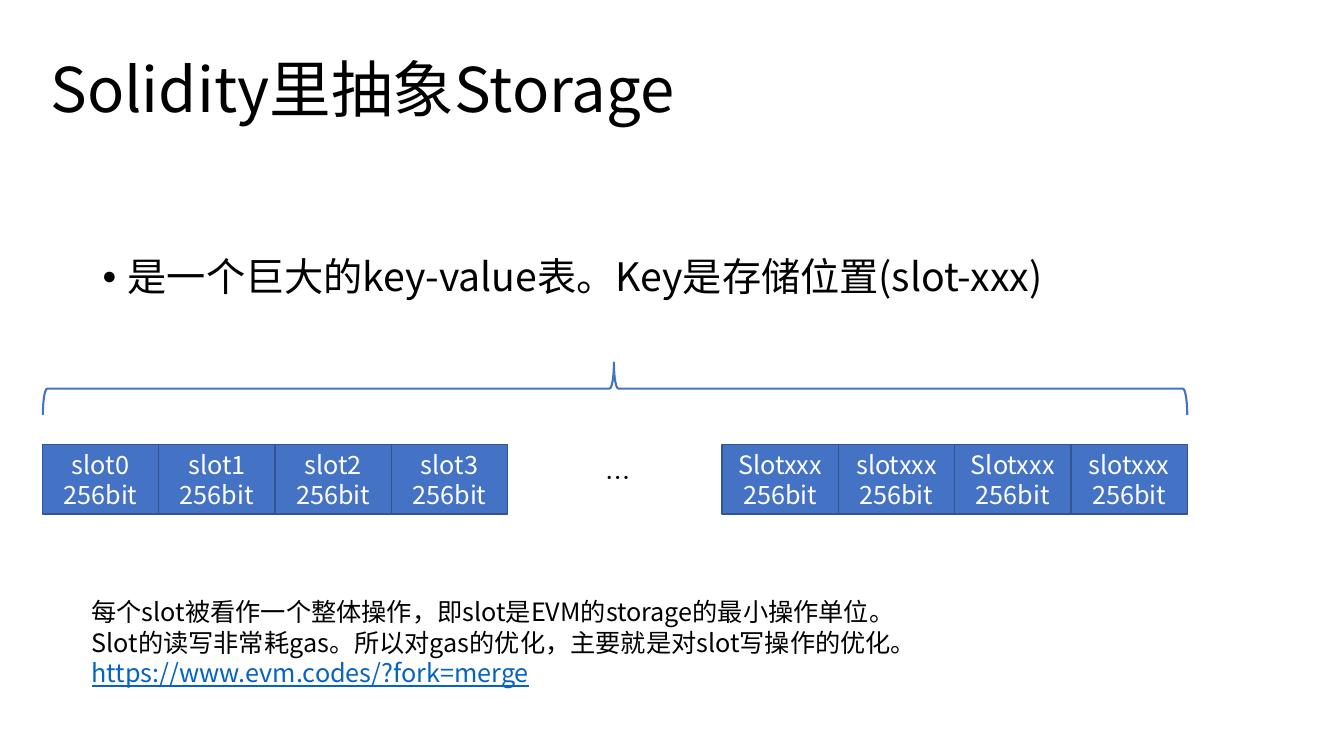
import pptx
import pptx.util
import pptx.dml.color
import pptx.enum.shapes
import pptx.enum.text
import pptx.oxml.ns
from lxml import etree

Inches = pptx.util.Inches
Align = pptx.enum.text.PP_ALIGN
Anchor = pptx.enum.text.MSO_ANCHOR
Shape = pptx.enum.shapes.MSO_SHAPE
qn = pptx.oxml.ns.qn

FONT = "Noto Sans CJK SC"
COLORS = {"text": "000000", "slot": "4472C4", "edge": "325491",
          "white": "FFFFFF", "link": "0563C1"}
SLOT_WIDTH, SLOT_HEIGHT, SLOT_TOP = 1.154, 0.69, 4.41
SLOT_GROUPS = {0.42: ["slot0", "slot1", "slot2", "slot3"],
               7.16: ["Slotxxx", "slotxxx", "Slotxxx", "slotxxx"]}


def rgb(name):
    return pptx.dml.color.RGBColor.from_string(COLORS[name])


def write(shape, *lines, size=18, color="text", align=Align.LEFT,
          anchor=Anchor.TOP, wrap=True, spacing=1.0, link_line=None):
    """Fill a shape with one paragraph per line; link_line is the index styled as a link."""
    frame = shape.text_frame
    frame.word_wrap = wrap
    frame.vertical_anchor = anchor
    for index, line in enumerate(lines):
        para = frame.paragraphs[0] if index == 0 else frame.add_paragraph()
        para.alignment = align
        para.line_spacing = spacing
        para.space_before = pptx.util.Pt(0)
        span = para.add_run()
        span.text = line
        span.font.size = pptx.util.Pt(size)
        span.font.color.rgb = rgb("link" if index == link_line else color)
        if index == link_line:
            span.font.underline = True
        span.font.name = FONT
        latin = span.font._element.find(qn("a:latin"))
        east_asian = etree.Element(qn("a:ea"), typeface=FONT)
        latin.addnext(east_asian)


deck = pptx.Presentation()
deck.slide_width, deck.slide_height = Inches(13.33), Inches(7.5)
page = deck.slides.add_slide(deck.slide_layouts.get_by_name("Title Only"))

title = page.shapes.title
title.left, title.top = Inches(0.4), Inches(0.19)
title.width, title.height = Inches(11.5), Inches(1.45)
write(title, "Solidity里抽象Storage", size=44, anchor=Anchor.MIDDLE, spacing=0.9)

summary = page.shapes.add_textbox(Inches(0.92), Inches(2.51), Inches(11.5), Inches(0.69))
write(summary, "是一个巨大的key-value表。Key是存储位置(slot-xxx)", size=28, spacing=0.9)
bullet_format = summary.text_frame.paragraphs[0]._p.get_or_add_pPr()
bullet_format.set("marL", str(Inches(0.25)))
bullet_format.set("indent", str(-Inches(0.25)))
etree.SubElement(bullet_format, qn("a:buFont"), typeface="Arial")
etree.SubElement(bullet_format, qn("a:buChar"), char="•")

for group_left, names in SLOT_GROUPS.items():
    for column, name in enumerate(names):
        slot = page.shapes.add_shape(
            Shape.RECTANGLE, Inches(group_left + column * SLOT_WIDTH), Inches(SLOT_TOP),
            Inches(SLOT_WIDTH), Inches(SLOT_HEIGHT))
        slot.shadow.inherit = False
        slot.fill.solid()
        slot.fill.fore_color.rgb = rgb("slot")
        slot.line.color.rgb = rgb("edge")
        slot.line.width = pptx.util.Pt(1)
        write(slot, name, "256bit", color="white", align=Align.CENTER, anchor=Anchor.MIDDLE)

ellipsis = page.shapes.add_textbox(Inches(5.91), Inches(4.54), Inches(0.38), Inches(0.4))
write(ellipsis, "…", wrap=False)

brace = page.shapes.add_shape(
    Shape.RIGHT_BRACE, Inches(5.84), Inches(-1.82), Inches(0.52), Inches(11.35))
brace.rotation = 270
brace.adjustments[0], brace.adjustments[1] = 0.083, 0.499
brace.shadow.inherit = False
brace.fill.background()
brace.line.color.rgb = rgb("slot")
brace.line.width = pptx.util.Pt(1.5)

notes = page.shapes.add_textbox(Inches(0.81), Inches(5.87), Inches(10.18), Inches(1.31))
write(notes,
      "每个slot被看作一个整体操作，即slot是EVM的storage的最小操作单位。",
      "Slot的读写非常耗gas。所以对gas的优化，主要就是对slot写操作的优化。",
      "https://www.evm.codes/?fork=merge",
      link_line=2)

deck.save("out.pptx")
